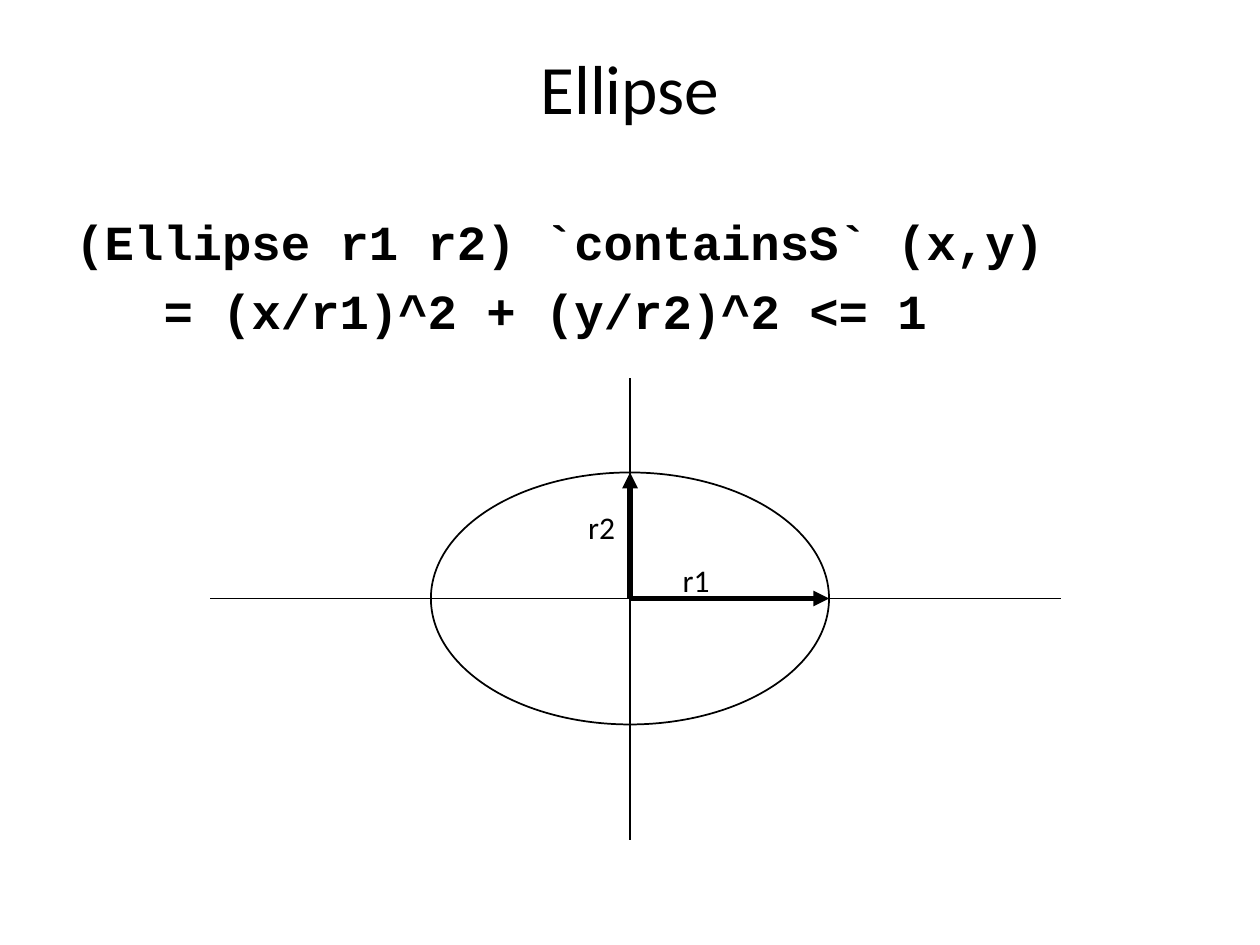
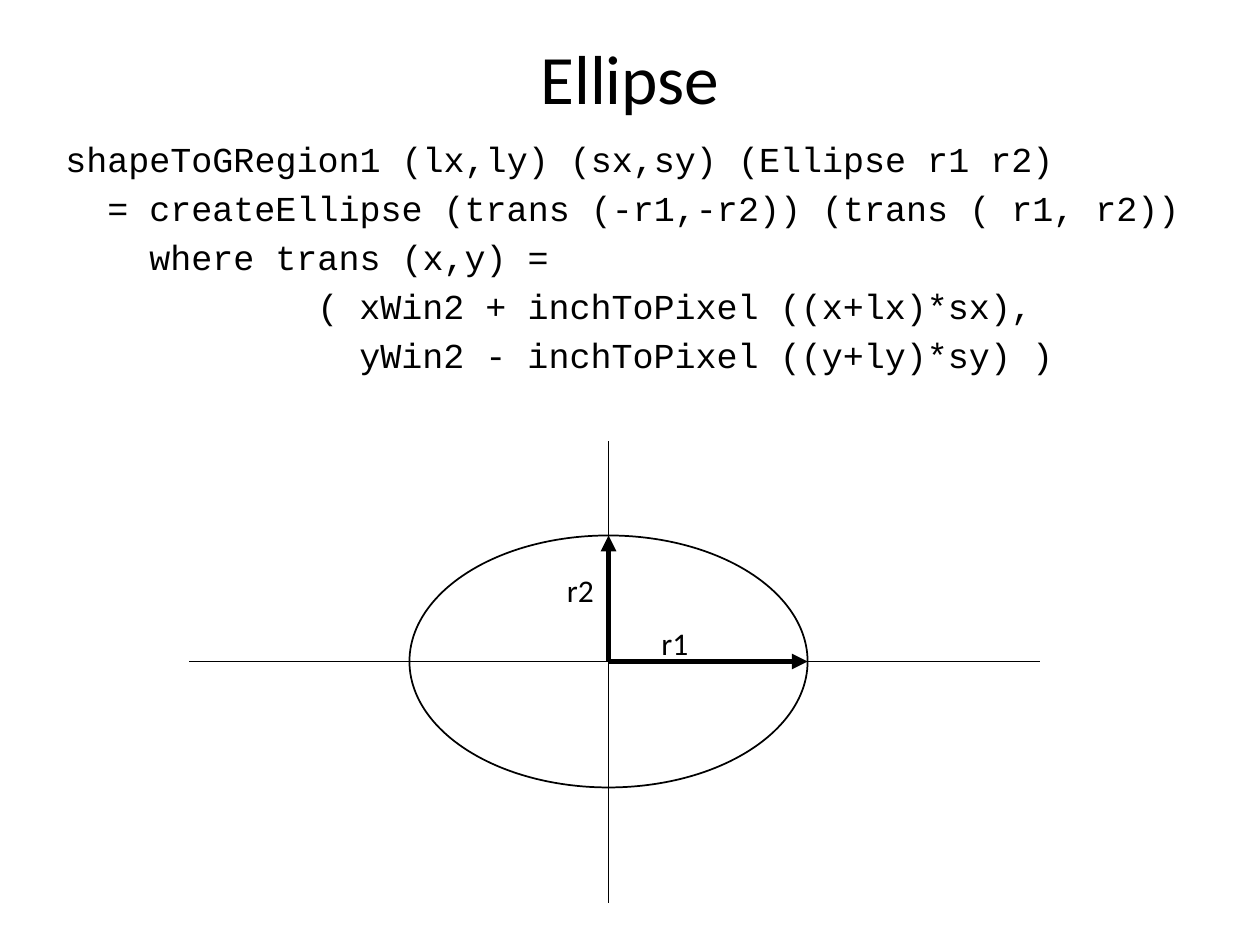
from lxml import etree
from pptx import Presentation, util as u
from pptx.dml.color import RGBColor
from pptx.enum import shapes, text
from pptx.oxml.ns import qn

INK = "000000"
SANS, MONO = "Calibri", "Courier New"
RX, RY = 1.58, 1


def color(value):
    """Turn a hex string into a colour."""
    return RGBColor.from_string(value)


def style(p, size, name, bold=False):
    """Set the font of a whole paragraph."""
    p.font.size, p.font.name, p.font.bold = u.Pt(size), name, bold
    p.font.color.rgb = color(INK)


def add_box(parent, x, y, w, h, wrap=True):
    """Add a text box in inches and return its text frame."""
    tf = parent.add_textbox(*map(u.Inches, (x, y, w, h))).text_frame
    tf.word_wrap = wrap
    return tf


def add_title(slide, words, height):
    """Add the centred slide title."""
    tf = add_box(slide.shapes, 0.5, 0.3, 9, height)
    tf.vertical_anchor = text.MSO_ANCHOR.MIDDLE
    p = tf.paragraphs[0]
    p.text, p.alignment = words, text.PP_ALIGN.CENTER
    style(p, 39.6, SANS)


def add_code(slide, area, lines, size, bold=False, top=0.05):
    """Add code lines given as (indent in characters, text)."""
    tf = add_box(slide.shapes, *area)
    tf.margin_top = u.Inches(top)
    for i, (columns, line) in enumerate(lines):
        p = tf.add_paragraph() if i else tf.paragraphs[0]
        p.text, p.space_before = line, u.Pt(0.2 * size)
        style(p, size, MONO, bold)
        pPr = p._p.get_or_add_pPr()
        pPr.set("marL", str(u.Pt(columns * 0.6 * size)))
        pPr.set("indent", "0")


def add_line(parent, start, end, width=1, arrow=False):
    """Add a straight line, with an arrowhead at its end if asked."""
    line = parent.add_connector(shapes.MSO_CONNECTOR.STRAIGHT, *map(u.Inches, (*start, *end)))
    line.line.color.rgb, line.line.width = color(INK), u.Pt(width)
    if arrow:
        etree.SubElement(line.line._get_or_add_ln(), qn("a:tailEnd"), type="triangle")
    etree.SubElement(line._element.spPr, qn("a:effectLst"))


def add_label(parent, x, y, words):
    """Add a radius label on one line."""
    tf = add_box(parent, x, y, 0.41, 0.37, wrap=False)
    tf.margin_right = 0
    tf.paragraphs[0].text = words
    style(tf.paragraphs[0], 18, SANS)


def add_diagram(slide, cx, cy):
    """Add the ellipse with its axes and radii around a centre."""
    group = slide.shapes.add_group_shape().shapes
    add_line(group, (cx - 3.33, cy), (cx + 3.42, cy))
    add_line(group, (cx, cy - 1.75), (cx, cy + 1.92))
    sp = group.add_shape(shapes.MSO_SHAPE.OVAL,
                         *map(u.Inches, (cx - RX, cy - RY, 2 * RX, 2 * RY)))
    sp.shadow.inherit = False
    sp.fill.background()
    sp.line.color.rgb, sp.line.width = color(INK), u.Pt(1)
    add_label(group, cx + 0.32, cy - 0.35, "r1")
    add_label(group, cx - 0.43, cy - 0.77, "r2")
    for tip in ((cx, cy - RY), (cx + RX, cy)):
        add_line(group, (cx, cy), tip, 3, arrow=True)


def main():
    """Build both slides and save them."""
    prs = Presentation()
    prs.slide_width, prs.slide_height = u.Inches(10), u.Inches(7.5)
    contains, region = (prs.slides.add_slide(prs.slide_layouts[6]) for _ in range(2))

    add_title(contains, "Ellipse", 0.78)
    add_code(contains, (0.5, 1.08, 9.5, 2), [
        (0, "(Ellipse r1 r2) `containsS` (x,y)"),
        (3, "= (x/r1)^2 + (y/r2)^2 <= 1"),
    ], 28, bold=True, top=0.6)
    add_diagram(contains, 5, 4.75)

    add_title(region, "Ellipse", 0.62)
    add_code(region, (0.42, 1.04, 9.25, 2.46), [
        (0, "shapeToGRegion1 (lx,ly) (sx,sy) (Ellipse r1 r2)"),
        (2, "= createEllipse (trans (-r1,-r2)) (trans ( r1, r2))"),
        (4, "where trans (x,y) ="),
        (12, "( xWin2 + inchToPixel ((x+lx)*sx),"),
        (14, "yWin2 - inchToPixel ((y+ly)*sy) )"),
    ], 20)
    add_diagram(region, 4.83, 5.25)

    prs.save("out.pptx")


main()
